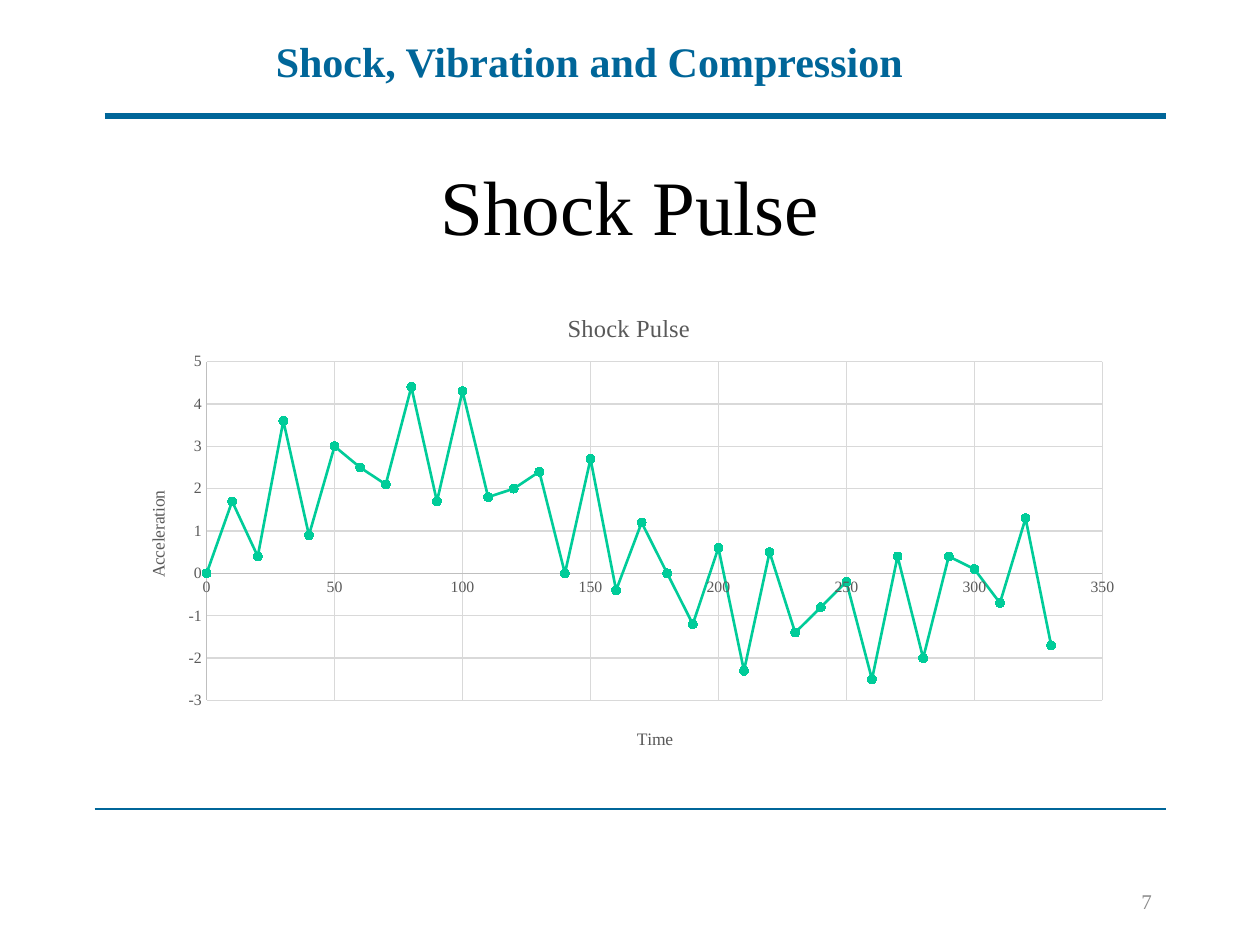
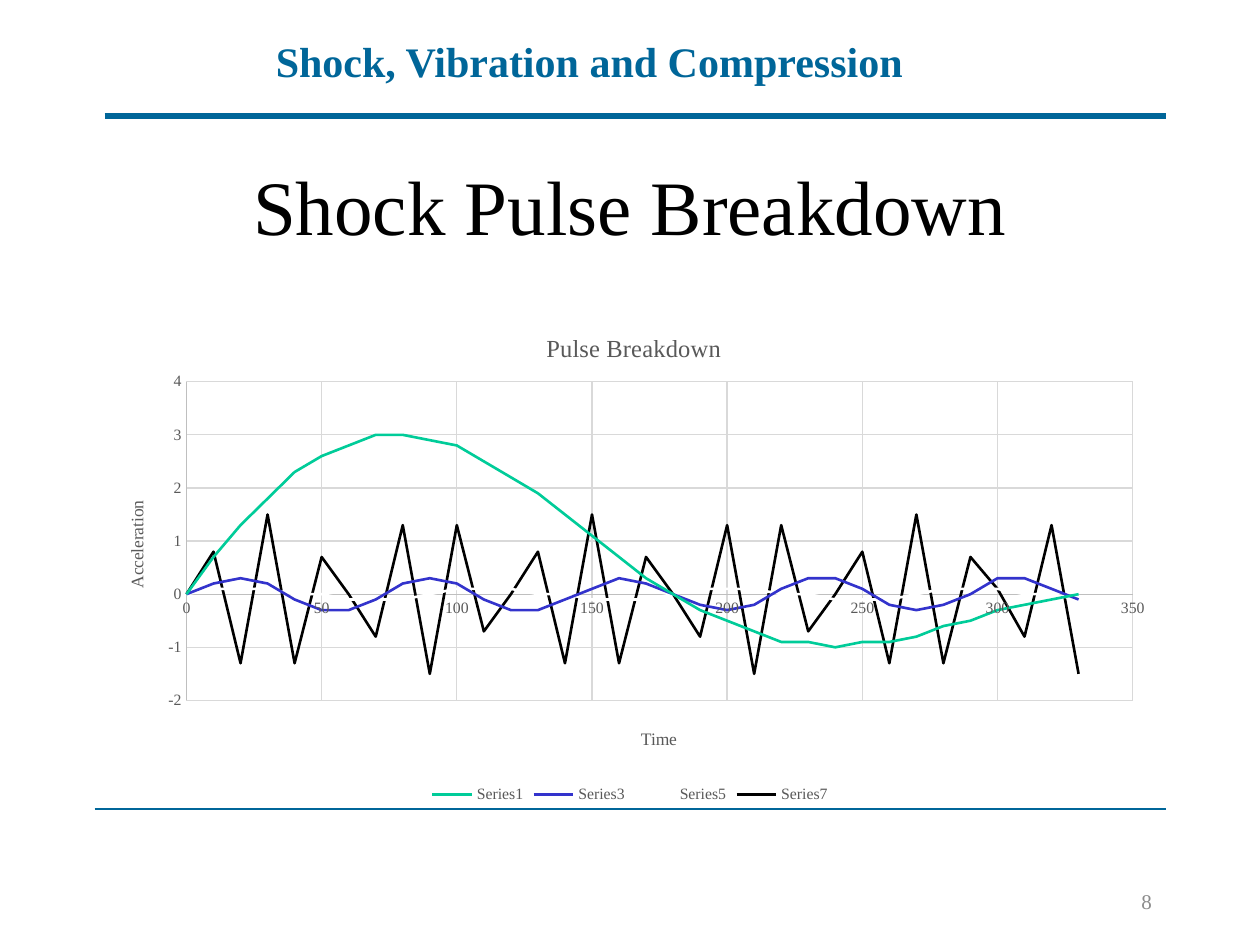
from lxml import etree
from pptx import Presentation
from pptx.chart.data import XyChartData
from pptx.dml.color import RGBColor
from pptx.enum.chart import (XL_CHART_TYPE, XL_LEGEND_POSITION,
                             XL_MARKER_STYLE, XL_TICK_MARK)
from pptx.enum.shapes import MSO_CONNECTOR
from pptx.enum.text import MSO_ANCHOR, PP_ALIGN
from pptx.oxml.ns import qn
from pptx.util import Inches, Pt

DOTS = XL_CHART_TYPE.XY_SCATTER_SMOOTH
PLAIN = XL_CHART_TYPE.XY_SCATTER_SMOOTH_NO_MARKERS
BOTTOM = XL_LEGEND_POSITION.BOTTOM
CIRCLE = XL_MARKER_STYLE.CIRCLE
NO_MARK = XL_MARKER_STYLE.NONE
NO_TICK = XL_TICK_MARK.NONE
STRAIGHT = MSO_CONNECTOR.STRAIGHT
TOP, MIDDLE = MSO_ANCHOR.TOP, MSO_ANCHOR.MIDDLE
LEFT, CENTER, RIGHT = PP_ALIGN.LEFT, PP_ALIGN.CENTER, PP_ALIGN.RIGHT

FACE = "Times New Roman"
BLUE, BLACK, WHITE = "006699", "000000", "FFFFFF"
GREEN, INDIGO = "00CC99", "3333CC"
GRAY, PALE, RULE, GRID = "595959", "8C8C8C", "BFBFBF", "D9D9D9"
STEP = 10

TOTAL = [0, 1.7, 0.4, 3.6, 0.9, 3, 2.5, 2.1, 4.4, 1.7, 4.3, 1.8,
         2, 2.4, 0, 2.7, -0.4, 1.2, 0, -1.2, 0.6, -2.3, 0.5, -1.4,
         -0.8, -0.2, -2.5, 0.4, -2, 0.4, 0.1, -0.7, 1.3, -1.7]
BASE = [0, 0.7, 1.3, 1.8, 2.3, 2.6, 2.8, 3, 3, 2.9, 2.8, 2.5,
        2.2, 1.9, 1.5, 1.1, 0.7, 0.3, 0, -0.3, -0.5, -0.7, -0.9, -0.9,
        -1, -0.9, -0.9, -0.8, -0.6, -0.5, -0.3, -0.2, -0.1, 0]
SLOW = [0, 0.2, 0.3, 0.2, -0.1, -0.3, -0.3, -0.1, 0.2, 0.3, 0.2, -0.1,
        -0.3, -0.3, -0.1, 0.1, 0.3, 0.2, 0, -0.2, -0.3, -0.2, 0.1, 0.3,
        0.3, 0.1, -0.2, -0.3, -0.2, 0, 0.3, 0.3, 0.1, -0.1]
FAINT = [0, 0.1, 0.1, 0.1, 0, 0, -0.1, -0.1, -0.1, 0, 0.1, 0.1,
         0.1, 0, 0, -0.1, -0.1, -0.1, 0, 0.1, 0.1, 0.1, 0, 0,
         -0.1, -0.1, -0.1, 0, 0.1, 0.1, 0.1, 0, 0, -0.1]
FAST = [0, 0.8, -1.3, 1.5, -1.3, 0.7, 0, -0.8, 1.3, -1.5, 1.3, -0.7,
        0, 0.8, -1.3, 1.5, -1.3, 0.7, 0, -0.8, 1.3, -1.5, 1.3, -0.7,
        0, 0.8, -1.3, 1.5, -1.3, 0.7, 0.1, -0.8, 1.3, -1.5]

PULSE = {
    "kind": DOTS, "title": "Shock Pulse", "box": (0.91, 2.25, 8.11, 3.86),
    "range": (-3, 5), "plot": (1.64, 2.87, 7.11, 2.69),
    "spots": [(4.47, 2.44), (5.03, 5.75), (1.14, 3.87)],
    "series": [("Series 1", GREEN, TOTAL)],
}
PARTS = {
    "kind": PLAIN, "title": "Pulse Breakdown", "box": (0.75, 2.42, 8.5, 4),
    "range": (-2, 4), "plot": (1.48, 3.03, 7.51, 2.53),
    "spots": [(4.3, 2.6), (5.06, 5.75), (0.97, 3.95)],
    "series": [("Series1", GREEN, BASE), ("Series3", INDIGO, SLOW),
               ("Series5", WHITE, FAINT), ("Series7", BLACK, FAST)],
}


def color(code):
    return RGBColor.from_string(code)


def style(font, size, code, bold=False):
    looks = {"name": FACE, "size": Pt(size), "bold": bold}
    for key, value in looks.items():
        setattr(font, key, value)
    font.color.rgb = color(code)


def stroke(line, code, width):
    line.color.rgb = color(code)
    line.width = Pt(width)


def label(slide, text, box, size, code, align=CENTER, anchor=MIDDLE,
          bold=False):
    frame = slide.shapes.add_textbox(*map(Inches, box)).text_frame
    frame.word_wrap = True
    frame.vertical_anchor = anchor
    para = frame.paragraphs[0]
    para.alignment = align
    run = para.add_run()
    run.text = text
    style(run.font, size, code, bold)


def rule(slide, left, top, right, width):
    ends = map(Inches, (left, top, right, top))
    line = slide.shapes.add_connector(STRAIGHT, *ends)
    stroke(line.line, BLUE, width)
    etree.SubElement(line.element.spPr, qn("a:effectLst"))


def place(node, index, box, area):
    """Pin a chart part to slide inches by a manual layout."""
    for old in node.findall(qn("c:layout")):
        node.remove(old)
    layout = etree.Element(qn("c:layout"))
    node.insert(index, layout)
    manual = etree.SubElement(layout, qn("c:manualLayout"))
    left, top, width, height = box
    x, y, *size = area
    marks = {"xMode": "edge", "yMode": "edge",
             "x": (x - left) / width, "y": (y - top) / height}
    if size:
        marks = {"layoutTarget": "inner", **marks,
                 "w": size[0] / width, "h": size[1] / height}
    for tag, value in marks.items():
        etree.SubElement(manual, qn("c:" + tag)).set("val", str(value))


def caption(title, text, size, box, spot):
    title.text_frame.text = text
    style(title.text_frame.paragraphs[0].runs[0].font, size, GRAY)
    place(title.element, 1, box, spot)


def scale(axis, low, high, unit):
    looks = {"minimum_scale": low, "maximum_scale": high, "major_unit": unit,
             "major_tick_mark": NO_TICK, "minor_tick_mark": NO_TICK,
             "has_major_gridlines": True}
    for key, value in looks.items():
        setattr(axis, key, value)
    style(axis.tick_labels.font, 9, GRAY)
    stroke(axis.format.line, RULE, 0.75)
    stroke(axis.major_gridlines.format.line, GRID, 0.75)


def curve(series, code, dots):
    series.smooth = True
    stroke(series.format.line, code, 1.5)
    mark = series.marker
    mark.style = CIRCLE if dots else NO_MARK
    if dots:
        mark.size = 5
        mark.format.fill.solid()
        mark.format.fill.fore_color.rgb = color(code)
        stroke(mark.format.line, code, 0.75)


def graph(slide, plan):
    data = XyChartData()
    for name, _, values in plan["series"]:
        points = data.add_series(name)
        for i, value in enumerate(values):
            points.add_data_point(i * STEP, value)
    box = plan["box"]
    chart = slide.shapes.add_chart(
        plan["kind"], *map(Inches, box), data).chart
    style(chart.font, 10, BLACK)
    chart.plots[0].vary_by_categories = False
    for series, (_, code, _) in zip(chart.plots[0].series, plan["series"]):
        curve(series, code, plan["kind"] == DOTS)

    time, force = chart.category_axis, chart.value_axis
    scale(time, 0, 350, 50)
    scale(force, *plan["range"], 1)
    heads = [(chart.chart_title, plan["title"], 14),
             (time.axis_title, "Time", 10),
             (force.axis_title, "Acceleration", 10)]
    for (title, text, size), spot in zip(heads, plan["spots"]):
        caption(title, text, size, box, spot)
    body = force.axis_title.text_frame._txBody.bodyPr
    body.set("rot", "-5400000")
    body.set("vert", "horz")
    place(chart.element.find(".//" + qn("c:plotArea")), 0, box, plan["plot"])

    chart.has_legend = len(plan["series"]) > 1
    if chart.has_legend:
        chart.legend.position = BOTTOM
        chart.legend.include_in_layout = False
        style(chart.legend.font, 9, GRAY)


def page(deck, title, number, plan):
    slide = deck.slides.add_slide(deck.slide_layouts[6])
    label(slide, "Shock, Vibration and Compression",
          (2.09, 0.23, 5.28, 0.5), 24, BLUE, LEFT, TOP, True)
    rule(slide, 0.83, 0.92, 9.25, 3)
    rule(slide, 0.75, 6.42, 9.25, 0.75)
    label(slide, title, (0.75, 1, 8.5, 1.25), 44, BLACK)
    label(slide, str(number), (8.07, 6.95, 1.17, 0.4), 12, PALE, RIGHT)
    graph(slide, plan)


def main():
    deck = Presentation()
    deck.slide_width, deck.slide_height = Inches(10), Inches(7.5)
    page(deck, "Shock Pulse", 7, PULSE)
    page(deck, "Shock Pulse Breakdown", 8, PARTS)
    deck.save("out.pptx")


if __name__ == "__main__":
    main()
